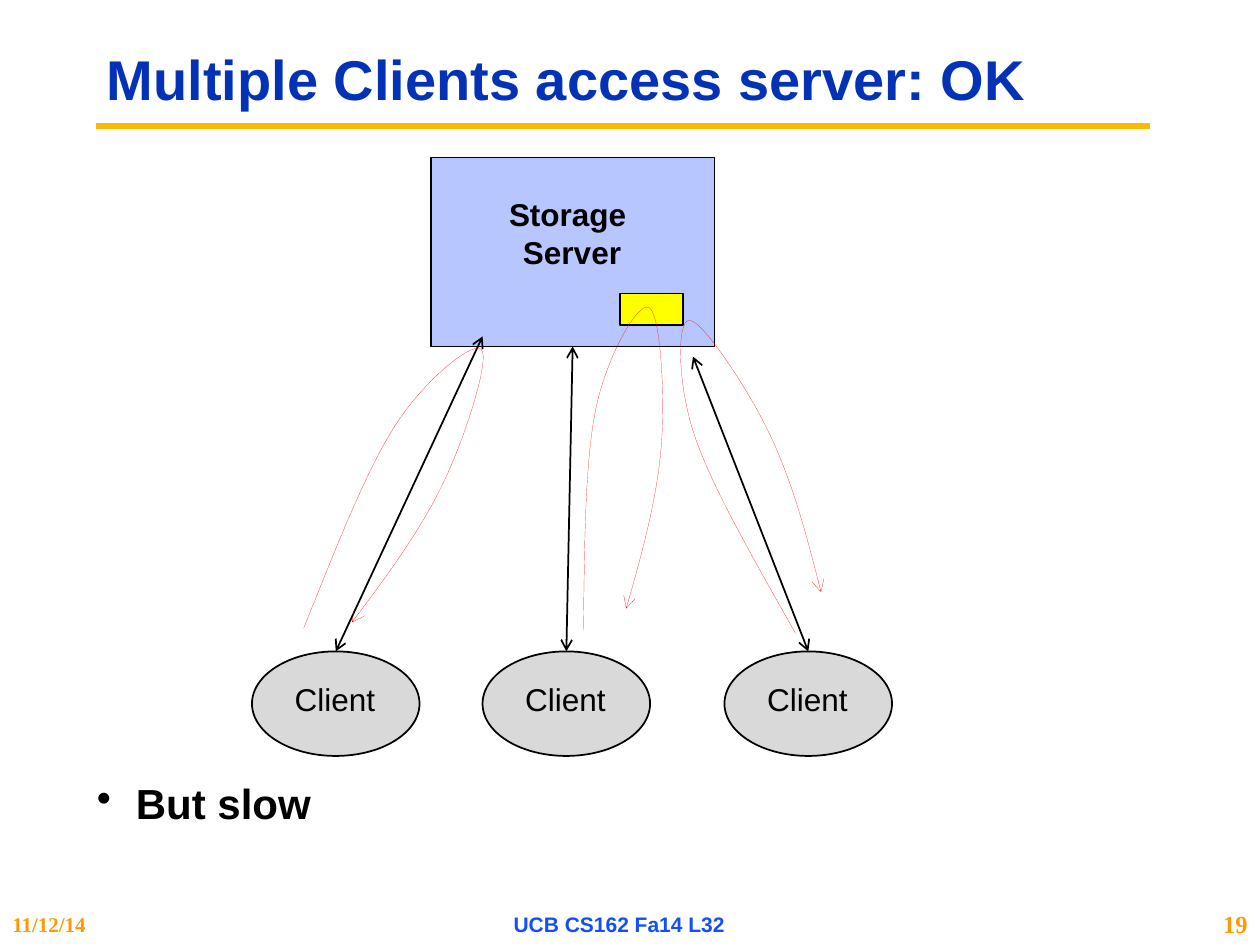
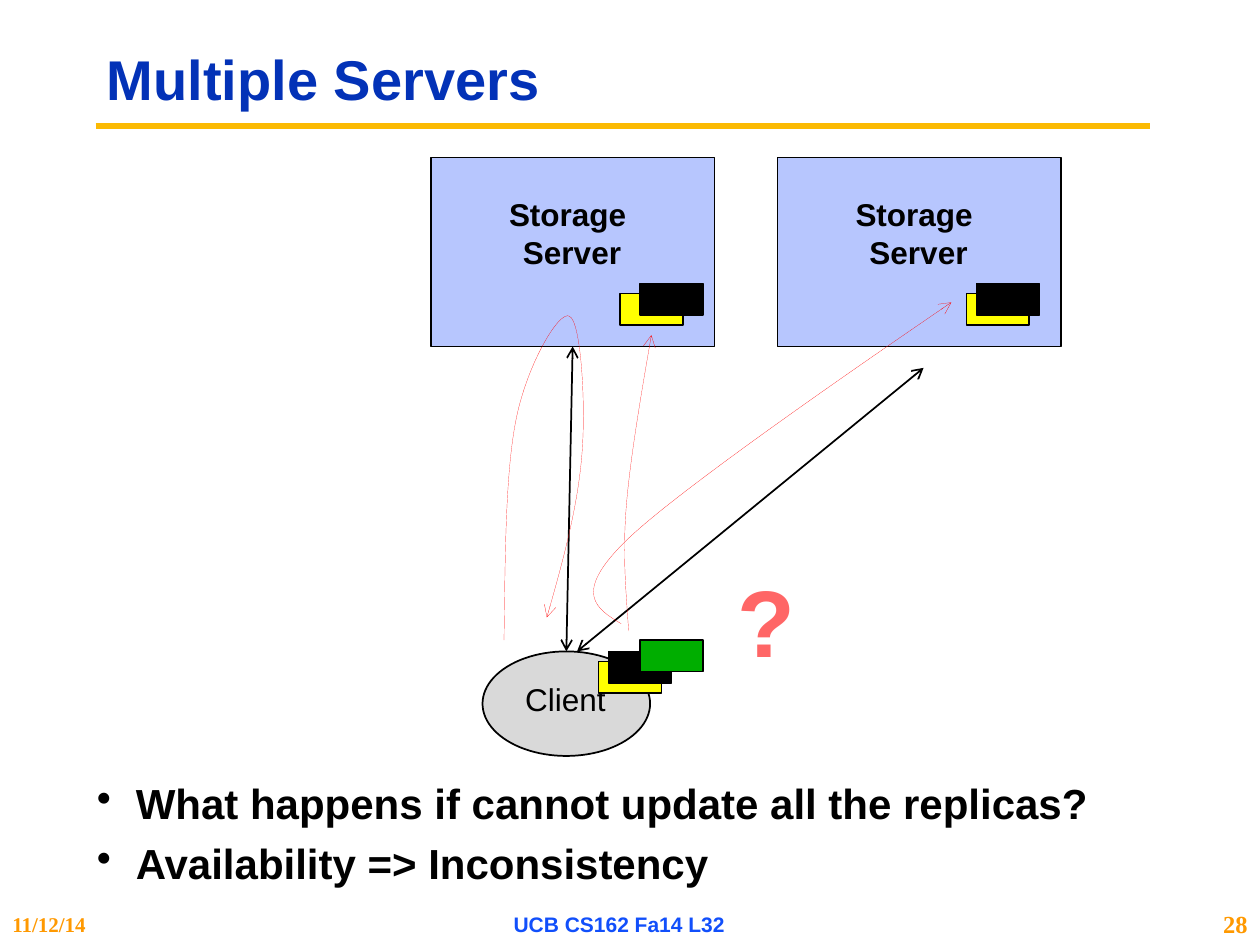
from lxml import etree
from pptx import Presentation
from pptx.dml.color import RGBColor
from pptx.enum import shapes, text
from pptx.oxml import ns
from pptx.util import Inches, Pt

BLACK = RGBColor(0x00, 0x00, 0x00)
GOLD = RGBColor(0xFB, 0xBA, 0x03)
NAVY = RGBColor(0x03, 0x32, 0xB7)
BLUE = RGBColor(0x11, 0x4F, 0xFB)
ORANGE = RGBColor(0xFF, 0x99, 0x00)
GREY = RGBColor(0xD9, 0xD9, 0xD9)
LILAC = RGBColor(0xB7, 0xC6, 0xFE)
YELLOW = RGBColor(0xFF, 0xFF, 0x00)
GREEN = RGBColor(0x00, 0xAE, 0x00)
RED = RGBColor(0xFF, 0x00, 0x00)
CORAL = RGBColor(0xFF, 0x66, 0x66)

SANS, SERIF = "Arial", "Times New Roman"
LEFT, MID, RIGHT = text.PP_ALIGN.LEFT, text.PP_ALIGN.CENTER, text.PP_ALIGN.RIGHT
TOP, CENTER = text.MSO_ANCHOR.TOP, text.MSO_ANCHOR.MIDDLE
RECT, OVAL = shapes.MSO_SHAPE.RECTANGLE, shapes.MSO_SHAPE.OVAL

# Request loop, relative to its top left: a start, then three points per curve
LOOP = [(0, 2.58),
        (0.01, 1.91), (0.01, 1.24), (0.1, 0.81),
        (0.19, 0.38), (0.44, -0.04), (0.52, 0.01),
        (0.61, 0.05), (0.65, 0.69), (0.62, 1.09),
        (0.59, 1.49), (0.47, 1.95), (0.34, 2.4)]


def label(slide, box, lines, size, color, font=SANS, bold=True, align=LEFT,
          anchor=TOP, wrap=True):
    """Add a text box with one paragraph per line and return its paragraphs."""
    frame = slide.shapes.add_textbox(*map(Inches, box)).text_frame
    frame.word_wrap = wrap
    frame.vertical_anchor = anchor
    for i, line in enumerate(lines):
        para = frame.add_paragraph() if i else frame.paragraphs[0]
        para.alignment = align
        run = para.add_run()
        run.text = line
        run.font.name, run.font.size, run.font.bold = font, Pt(size), bold
        run.font.color.rgb = color
    return frame.paragraphs


def solid(slide, kind, box, fill):
    shape = slide.shapes.add_shape(kind, *map(Inches, box))
    shape.shadow.inherit = False
    shape.fill.solid()
    shape.fill.fore_color.rgb = fill
    shape.line.color.rgb = BLACK
    shape.line.width = Pt(1)
    return shape


def tip(shape, *ends):
    """Put open arrowheads on the named ends of a line."""
    line = shape.element.xpath(".//a:ln")[0]
    for end in ends:
        etree.SubElement(line, ns.qn("a:" + end), type="arrow")


def rule(slide, start, end, color, width):
    line = slide.shapes.add_connector(
        shapes.MSO_CONNECTOR.STRAIGHT, *map(Inches, start + end))
    line.line.color.rgb = color
    line.line.width = Pt(width)
    etree.SubElement(line.element.spPr, ns.qn("a:effectLst"))
    return line


def link(slide, start, end, client, server=None):
    """Draw a two-headed arrow up from a client, joined where it meets a side."""
    line = rule(slide, start, end, BLACK, 1)
    tip(line, "headEnd", "tailEnd")
    if client is not None:
        line.begin_connect(client, 0)
    if server is not None:
        line.end_connect(server, 2)


def curve(slide, x, y, points, turn=0):
    """Draw a thin red Bezier arrow through points relative to x, y."""
    first, *rest = [(Inches(x + dx), Inches(y + dy)) for dx, dy in points]
    pen = slide.shapes.build_freeform(*first, scale=1.0)
    pen.add_line_segments(rest, close=False)
    shape = pen.convert_to_shape()
    steps = shape.element.xpath(".//a:lnTo")
    for trio in zip(steps[::3], steps[1::3], steps[2::3]):
        bend = etree.Element(ns.qn("a:cubicBezTo"))
        trio[0].addprevious(bend)
        for step in trio:
            bend.append(step[0])
            step.getparent().remove(step)
    shape.element.remove(shape.element.find(ns.qn("p:style")))
    shape.fill.background()
    shape.line.color.rgb = RED
    shape.rotation = turn
    tip(shape, "tailEnd")


def chip(slide, x, y, fill):
    solid(slide, RECT, (x, y, 0.5, 0.25), fill)


def server(slide, x, y):
    box = solid(slide, RECT, (x, y, 2.25, 1.5), LILAC)
    label(slide, (x + 0.31, y + 0.25, 1.62, 0.71), ["Storage ", "Server"],
          18, BLACK, align=MID, wrap=False)
    chip(slide, x + 1.5, y + 1.08, YELLOW)
    return box


def client(slide, x, y):
    oval = solid(slide, OVAL, (x, y, 1.33, 0.83), GREY)
    label(slide, (x + 0.24, y + 0.18, 0.85, 0.4), ["Client"], 18, BLACK,
          bold=False, wrap=False)
    return oval


def frame(deck, title, points, number):
    """Add a slide with its title, gold rule, bullets and footer."""
    slide = deck.slides.add_slide(deck.slide_layouts[6])
    rule(slide, (0.76, 1), (9.13, 1), GOLD, 3.75)
    head = label(slide, (0.75, 0.25, 8.42, 0.81), [title], 32, NAVY, anchor=CENTER)
    head[0].line_spacing = 0.9
    for para in label(slide, (0.67, 6.17, 8.42, 0.75), points, 24, BLACK):
        para.line_spacing = 0.9
        para.space_before = Pt(8.3)
        props = para._p.get_or_add_pPr()
        props.set("marL", str(Inches(0.31)))
        props.set("indent", str(-Inches(0.31)))
        etree.SubElement(props, ns.qn("a:buChar"), char="•")
    for x, wide, words, size, color, font, align in (
            (0, 1.67, "11/12/14", 12, ORANGE, SERIF, LEFT),
            (3.33, 3.17, "UCB CS162 Fa14 L32", 12, BLUE, SANS, MID),
            (9.42, 0.58, number, 14, ORANGE, SERIF, RIGHT)):
        label(slide, (x, 7.17, wide, 0.33), [words], size, color, font,
              align=align, anchor=CENTER)
    return slide


def shared(slide, x, y):
    """Draw three clients that use one server."""
    store = server(slide, x + 1.42, y)
    for left, top, end, joint in (
            (0, 0.67, (1.83, 1.42), None),
            (1.83, 2.5, (2.54, 1.5), store),
            (3.75, 4.42, (3.5, 1.58), None)):
        oval = client(slide, x + left, y + 3.92)
        link(slide, (x + top, y + 3.92), (x + end[0], y + end[1]), oval, joint)
    for left, top, turn in ((2.63, 1.18, 0), (3.61, 1.21, 329.8), (0.86, 1.36, 21.1)):
        curve(slide, x + left, y + top, LOOP, turn)


def copies(slide, x, y):
    """Draw one client that updates two servers."""
    oval = client(slide, x + 0.41, y + 3.92)
    near = server(slide, x, y)
    server(slide, x + 2.75, y)
    link(slide, (x + 1.08, y + 3.92), (x + 1.12, y + 1.5), oval, near)
    link(slide, (x + 1.16, y + 3.92), (x + 3.91, y + 1.67), None)
    curve(slide, x + 0.58, y + 1.25, LOOP)
    for left, top, fill in (
            (1.33, 4, YELLOW), (1.41, 3.92, BLACK), (1.66, 1, BLACK),
            (4.33, 1, BLACK), (1.66, 3.83, GREEN)):
        chip(slide, x + left, y + top, fill)
    curve(slide, x, y, [(1.57, 3.76), (1.55, 3.46), (1.52, 3.17), (1.55, 2.78),
                        (1.58, 2.38), (1.75, 1.41), (1.75, 1.41)])
    curve(slide, x, y, [(1.51, 3.7), (1.31, 3.58), (1.12, 3.46), (1.55, 3.04),
                        (1.99, 2.61), (4.13, 1.15), (4.13, 1.15)])
    label(slide, (x + 2.33, y + 3.17, 0.66, 1.01), ["?"], 54, CORAL,
          align=MID, wrap=False)


def main():
    deck = Presentation()
    deck.slide_width, deck.slide_height = Inches(10), Inches(7.5)
    shared(frame(deck, "Multiple Clients access server: OK", ["But slow"], "19"),
           2, 1.25)
    copies(frame(deck, "Multiple Servers",
                 ["What happens if cannot update all the replicas?",
                  "Availability => Inconsistency"], "28"), 3.42, 1.25)
    deck.save("out.pptx")


if __name__ == "__main__":
    main()
